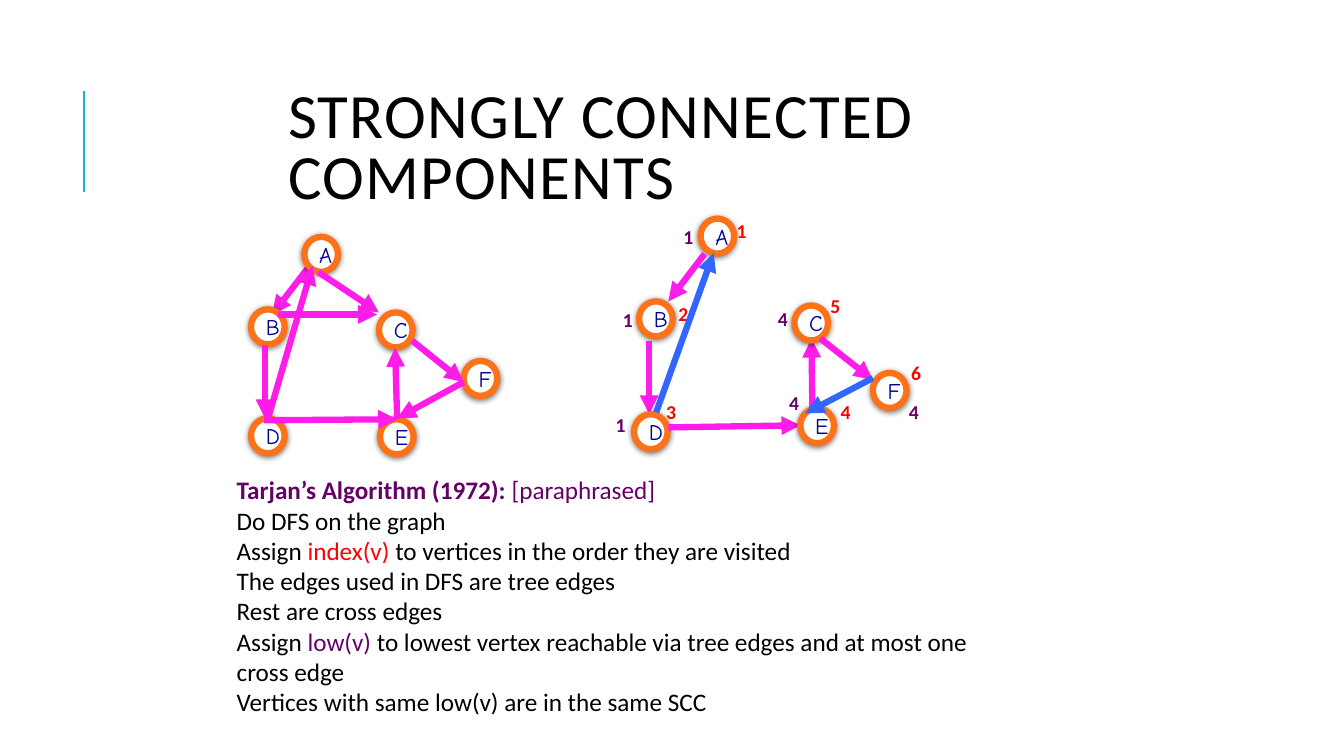
import pptx
import pptx.util
import pptx.dml.color
import pptx.enum.shapes
import pptx.enum.text
import pptx.oxml
import pptx.oxml.ns

Pt = pptx.util.Pt
COLORS = {
    "accent": "1CADE4", "black": "000000", "white": "FFFFFF", "ring": "FD7119",
    "letter": "000090", "tree": "FD1CE8", "cross": "3366FF",
    "index": "FF0000", "low": "660066",
}
NODE_WIDTH, NODE_HEIGHT = 24, 25
LABEL_WIDTH, LABEL_HEIGHT = 24, 24.2

GRAPH_NODES = {
    "C": (270.7, 223.2), "B": (179.3, 221), "D": (179.3, 298.8),
    "E": (271.4, 299.5), "F": (331.2, 257.8), "A": (217.4, 169.2),
}
EDGE_BEHIND_NODES = (221, 190.1, 194.4, 224.6)
GRAPH_EDGES = [
    (227.5, 194.4, 270.7, 223.2),
    (191.5, 298.8, 223.2, 190.1),
    (188.6, 300.2, 283.7, 299.5),
    (198.7, 224.6, 269.3, 224.6),
    (189.4, 246.2, 189.4, 298.8),
    (294.5, 243.4, 331.2, 272.9),
    (283.7, 299.5, 282.2, 248.4),
    (331.2, 272.9, 283.7, 298.8),
]
VISITS = [
    ("A", (500.4, 156.2), None, (519.1, 152.6), "1", (481, 157)),
    ("B", (456.5, 215.3), (503.3, 181.4, 477.4, 215.3), (477.4, 212.4), "1", (437.8, 216.7)),
    ("D", (452.9, 295.9), (463.7, 243.4, 463.7, 295.9), (468.7, 282.2), "1", (432.7, 291.6)),
    ("E", (571.7, 291.6), (477.4, 305.3, 571.7, 303.8), (593.3, 282.2), "4", (556.6, 275.8)),
    ("C", (567.4, 218.2), (580.3, 293, 579.6, 241.9), (586.1, 206.6), "4", (548.6, 216)),
    ("F", (623.5, 266.4), (586.1, 241.9, 623.5, 271.4), (643.7, 254.2), "4", (642.2, 282.2)),
]
CROSS_EDGES = [(468.7, 294.5, 509.8, 180.7), (623.5, 270, 575.3, 295.2)]
ALGORITHM = [
    [("Tarjan’s Algorithm (1972): ", "low", True), ("[paraphrased]", "low", False)],
    [("Do DFS on the graph", "black", False)],
    [("Assign ", "black", False), ("index(v) ", "index", False),
     ("to vertices in the order they are visited", "black", False)],
    [("The edges used in DFS are tree edges", "black", False)],
    [("Rest are cross edges", "black", False)],
    [("Assign ", "black", False), ("low(v) ", "low", False),
     ("to lowest vertex reachable via tree edges and at most one cross edge", "black", False)],
    [("Vertices with same low(v) are in the same SCC", "black", False)],
]


def color(name):
    return pptx.dml.color.RGBColor.from_string(COLORS[name])


def add_span(para, text, *, size, ink, bold=False, font="Calibri", spacing=None):
    span = para.add_run()
    span.text = text
    span.font.name = font
    span.font.size = Pt(size)
    span.font.bold = bold
    span.font.color.rgb = color(ink)
    if spacing:
        span.font._element.set("spc", str(spacing * 100))
    return span


def add_box(page, left, top, width, height):
    box = page.shapes.add_textbox(Pt(left), Pt(top), Pt(width), Pt(height))
    box.text_frame.word_wrap = True
    return box


def add_label(page, text, position, ink):
    box = add_box(page, *position, LABEL_WIDTH, LABEL_HEIGHT)
    add_span(box.text_frame.paragraphs[0], text, size=14, ink=ink, bold=True)


def add_line(page, ends, ink, width=4.5, arrow=True):
    line = page.shapes.add_connector(
        pptx.enum.shapes.MSO_CONNECTOR.STRAIGHT, *(Pt(value) for value in ends))
    line.line.color.rgb = color(ink)
    line.line.width = Pt(width)
    if arrow:
        tail = pptx.oxml.parse_xml(
            f'<a:tailEnd {pptx.oxml.ns.nsdecls("a")} type="triangle"/>')
        line.line._get_or_add_ln().append(tail)
    line._element.spPr.append(
        pptx.oxml.parse_xml(f'<a:effectLst {pptx.oxml.ns.nsdecls("a")}/>'))


def add_node(page, name, position):
    node = page.shapes.add_shape(
        pptx.enum.shapes.MSO_SHAPE.OVAL,
        *(Pt(value) for value in (*position, NODE_WIDTH, NODE_HEIGHT)))
    node.fill.solid()
    node.fill.fore_color.rgb = color("white")
    node.line.color.rgb = color("ring")
    node.line.width = Pt(4.5)
    node._element.spPr.append(pptx.oxml.parse_xml(
        f'<a:effectLst {pptx.oxml.ns.nsdecls("a")}>'
        f'<a:outerShdw blurRad="{Pt(4)}" dist="{Pt(1)}" dir="5400000" rotWithShape="0">'
        f'<a:srgbClr val="{COLORS["black"]}"><a:alpha val="50000"/></a:srgbClr>'
        '</a:outerShdw></a:effectLst>'))
    frame = node.text_frame
    frame.word_wrap = True
    frame.vertical_anchor = pptx.enum.text.MSO_ANCHOR.MIDDLE
    para = frame.paragraphs[0]
    para.alignment = pptx.enum.text.PP_ALIGN.CENTER
    add_span(para, name, size=16, ink="letter", font="Comic Neue")


def add_title(page):
    frame = add_box(page, 198.7, 62.6, 553, 90).text_frame
    frame.vertical_anchor = pptx.enum.text.MSO_ANCHOR.MIDDLE
    para = frame.paragraphs[0]
    para.line_spacing = 0.8
    add_span(para, "STRONGLY CONNECTED COMPONENTS", size=45, ink="black", spacing=1)


def add_graph(page):
    add_line(page, EDGE_BEHIND_NODES, "tree")
    for name, position in GRAPH_NODES.items():
        add_node(page, name, position)
    for edge in GRAPH_EDGES:
        add_line(page, edge, "tree")


def add_search_forest(page):
    for index, (name, position, edge, index_at, low, low_at) in enumerate(VISITS, 1):
        if edge:
            add_line(page, edge, "tree")
        add_node(page, name, position)
        add_label(page, str(index), index_at, "index")
        add_label(page, low, low_at, "low")
    for edge in CROSS_EDGES:
        add_line(page, edge, "cross")


def add_algorithm(page):
    frame = add_box(page, 162, 335.5, 549.4, 181.4).text_frame
    for number, spans in enumerate(ALGORITHM):
        para = frame.add_paragraph() if number else frame.paragraphs[0]
        for text, ink, bold in spans:
            add_span(para, text, size=18, ink=ink, bold=bold)


def main():
    deck = pptx.Presentation()
    deck.slide_width, deck.slide_height = Pt(960), Pt(540)
    page = deck.slides.add_slide(deck.slide_layouts[6])
    add_line(page, (60, 136.8, 60, 64.8), "accent", width=1.5, arrow=False)
    add_title(page)
    add_graph(page)
    add_algorithm(page)
    add_search_forest(page)
    deck.save("out.pptx")


if __name__ == "__main__":
    main()
